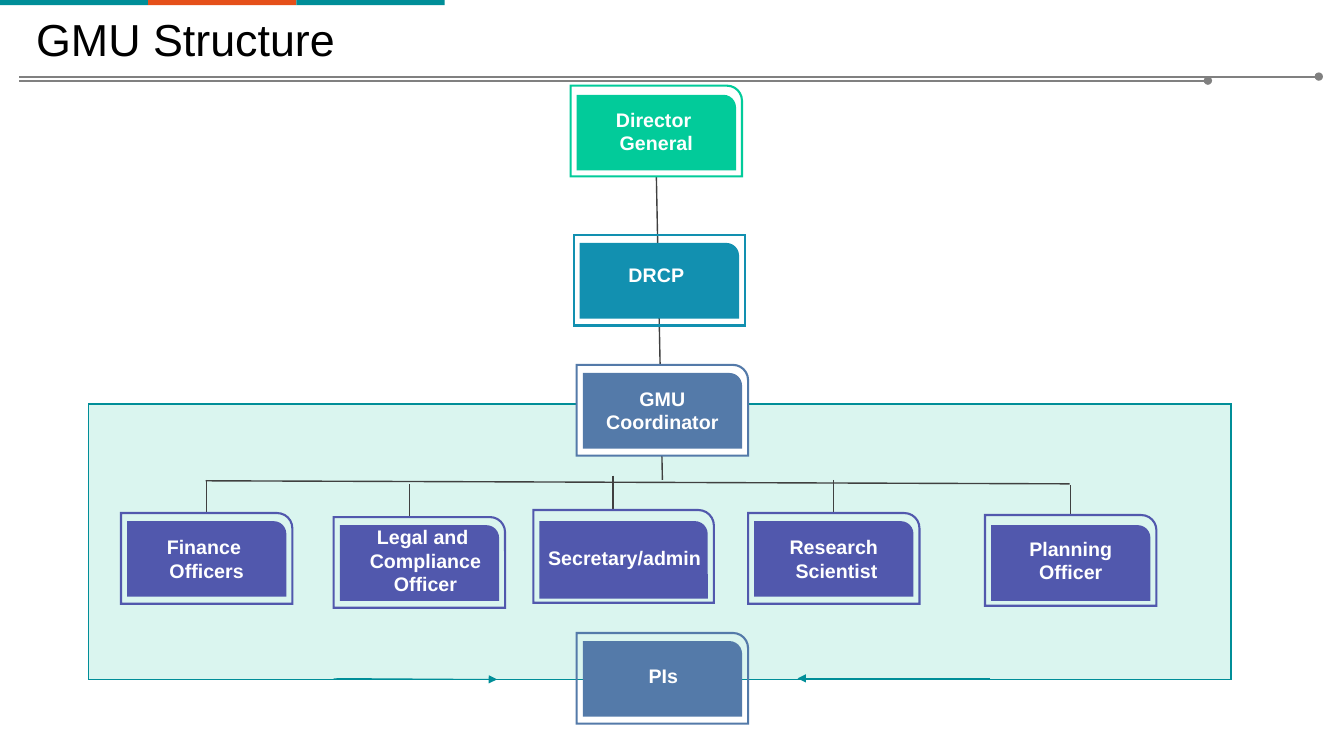
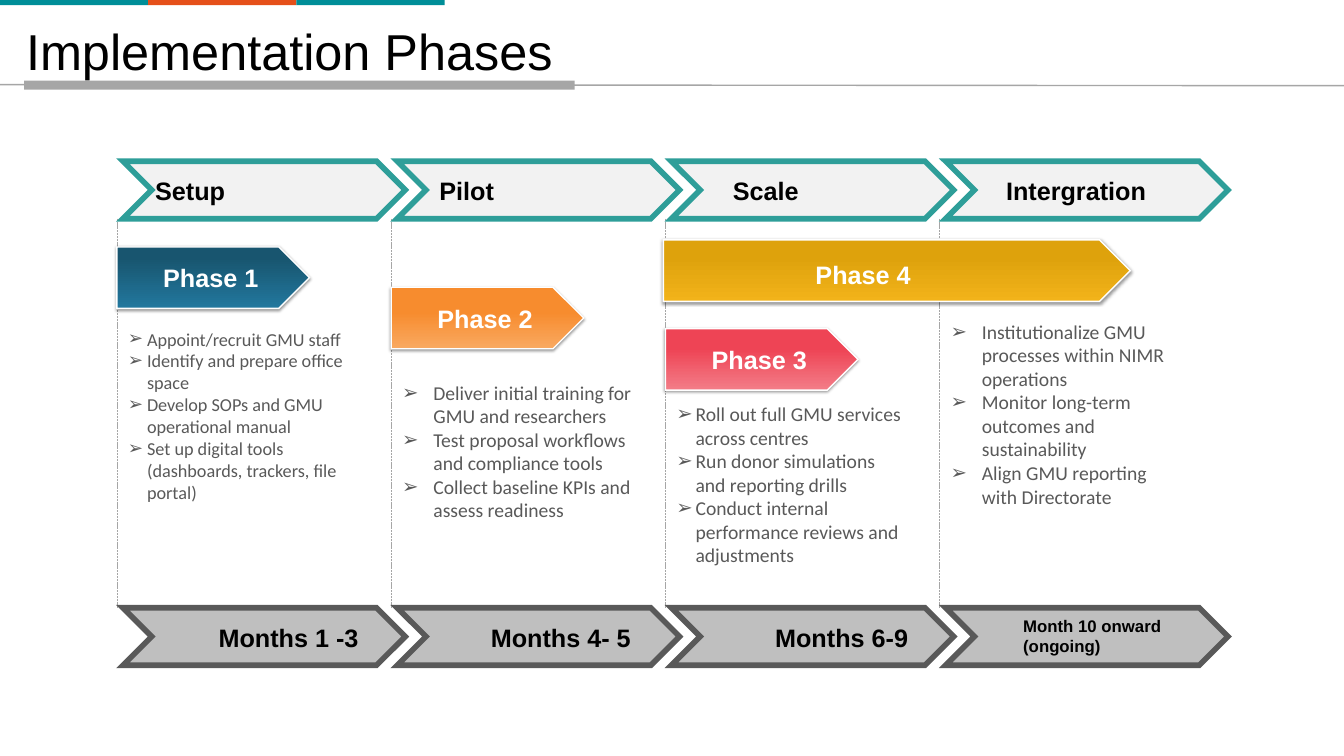
from dataclasses import dataclass
from lxml.etree import SubElement
from pptx import Presentation
from pptx.dml.color import RGBColor
from pptx.enum.dml import MSO_LINE
from pptx.enum.shapes import MSO_CONNECTOR, MSO_SHAPE
from pptx.enum.text import MSO_ANCHOR, PP_ALIGN
from pptx.oxml.ns import qn
from pptx.util import Pt

SCALE = 9144


@dataclass(frozen=True)
class Theme:
    head: str = "Arial"
    body: str = "Calibri"
    black: str = "000000"
    white: str = "FFFFFF"
    teal: str = "008E98"
    orange: str = "E5501A"
    mint: str = "DAF5EF"
    green: str = "02CB9A"
    blue: str = "1290B0"
    steel: str = "547AA9"
    violet: str = "5158AD"
    rule: str = "808080"
    wire: str = "404040"
    pale: str = "A6A6A6"
    slate: str = "595959"
    sea: str = "2E9E99"
    light: str = "F2F2F2"
    silver: str = "BFBFBF"
    first: tuple = ("22789E", "18556F", 0.82)
    second: tuple = ("F9A961", "F78C2E", 0.59)
    third: tuple = ("F37D88", "EE4455", 0.67)
    fourth: tuple = ("F2B31A", "DEA20C", 0.72)
    title: int = 32
    large: int = 36
    label: int = 18
    card: int = 14
    list: int = 14
    small: int = 13
    tiny: int = 12


T = Theme()


def px(*nums):
    return [round(n * SCALE) for n in nums]


def rgb(code):
    return RGBColor.from_string(code)


def shape(slide, kind, box, fill=None, line=None, width=1):
    item = slide.shapes.add_shape(kind, *px(*box))
    item.shadow.inherit = False
    if fill:
        item.fill.solid()
        item.fill.fore_color.rgb = rgb(fill)
    else:
        item.fill.background()
    if line:
        item.line.color.rgb = rgb(line)
        item.line.width = Pt(width)
        SubElement(item.line._get_or_add_ln(), qn("a:miter"), lim="800000")
    else:
        item.line.fill.background()
    return item


def wire(slide, start, end, color, width=1, tip=None, dash=None):
    item = slide.shapes.add_connector(MSO_CONNECTOR.STRAIGHT, *px(*start, *end))
    item.line.color.rgb = rgb(color)
    item.line.width = Pt(width)
    if dash:
        item.line.dash_style = dash
    if tip:
        SubElement(item.line._get_or_add_ln(), qn("a:tailEnd"), type=tip)
    SubElement(item._element.spPr, qn("a:effectLst"))
    return item


def write(slide, box, text, size, color=T.black, font=T.head, bold=False,
          align=PP_ALIGN.LEFT, anchor=MSO_ANCHOR.TOP, inset=10, hang=0):
    frame = slide.shapes.add_textbox(*px(*box)).text_frame
    frame.word_wrap = True
    frame.vertical_anchor = anchor
    frame.margin_left, frame.margin_right = px(inset, inset)
    frame.text = text
    for para in frame.paragraphs:
        para.alignment = align
        if hang:
            props = para._p.get_or_add_pPr()
            props.set("marL", str(hang * SCALE))
            props.set("indent", str(-hang * SCALE))
            SubElement(props, qn("a:buFont"), typeface="Arial")
            SubElement(props, qn("a:buChar"), char="➢")
        for run in para.runs:
            run.font.name = font
            run.font.size = Pt(size)
            run.font.bold = bold
            run.font.color.rgb = rgb(color)


def start(deck):
    slide = deck.slides.add_slide(deck.slide_layouts[6])
    for i, color in enumerate((T.teal, T.orange, T.teal)):
        shape(slide, MSO_SHAPE.RECTANGLE, (i * 147, 0, 147, 5), color)
    return slide


def card(slide, box, text, color, back=None, drop=8, shift=(0, 0), square=False):
    x, y, w, h = box
    frame = shape(slide, MSO_SHAPE.ROUND_1_RECTANGLE, box, back, color, 1.5)
    if square:
        frame.adjustments[0] = 0
    shape(slide, MSO_SHAPE.ROUND_1_RECTANGLE, (x + 6, y + drop, w - 12, h - 15), color)
    write(slide, (x + shift[0], y + shift[1], w, h), text, T.card, T.white, bold=True,
          align=PP_ALIGN.CENTER, anchor=MSO_ANCHOR.MIDDLE, inset=0)
    return frame


def chart(slide, box):
    left, top, wide, _ = box

    def at(x, y):
        return left + x, top + y

    def link(begin, end):
        return wire(slide, at(*begin), at(*end), T.wire)

    def place(x, y, text, color, size=(170, 90), **extra):
        return card(slide, (*at(x, y), *size), text, color, **extra)

    shape(slide, MSO_SHAPE.RECTANGLE, (*at(0, 316), wide, 273), T.mint, T.teal)
    trunk = link((563, 90), (569, 391))
    link((116, 392), (973, 395))
    drops = [link((x, y), (x, y + 33))
             for x, y in ((117, 391), (318, 395), (520, 387), (739, 391), (974, 396))]

    place(481, 148, "DRCP", T.blue, shift=(-3, -5), square=True)
    chief = place(478, 0, "Director \nGeneral", T.green, drop=9)
    place(484, 543, "PIs", T.steel, shift=(1, -3))
    place(484, 277, "GMU\nCoordinator", T.steel, back=T.white)
    staff = [
        place(32, 424, "Finance \nOfficers", T.violet),
        place(243, 428, "Legal and \nCompliance\nOfficer", T.violet, shift=(6, -2)),
        place(441, 421, "Secretary/admin", T.violet, (179, 92), drop=11, shift=(1, 1)),
        place(654, 424, "Research\n Scientist", T.violet),
        place(889, 426, "Planning\nOfficer", T.violet, drop=10),
    ]
    trunk.begin_connect(chief, 2)
    for i in (0, 3, 4):
        drops[i].end_connect(staff[i], 0)
    for begin, end in (((894, 588), (703, 588)), ((243, 588), (405, 589))):
        wire(slide, at(*begin), at(*end), T.teal, 0.5, "triangle")


def team(deck):
    slide = start(deck)
    write(slide, (26, 7, 1276, 64), "GMU Structure", T.title)
    for y, end in ((76, 1308), (80, 1198)):
        wire(slide, (19, y), (end, y), T.rule, 1.5, "oval")
    chart(slide, (88, 85, 1133, 639))


def strip(slide, box, step, fill, line, labels):
    x, y, w, h = box
    for i in range(len(labels)):
        shape(slide, MSO_SHAPE.CHEVRON, (x + 6 + i * step, y, w, h), fill, line, 4)
    for i, (shift, drop, text, size) in enumerate(labels):
        write(slide, (x + i * step + shift, y + drop, 190, 40), text, size, bold=True)


def plate(slide, box, text, shift, drop, blend):
    x, y, w, h = box
    base, peak, stop = blend
    item = shape(slide, MSO_SHAPE.PENTAGON, box, base, T.white)
    item.fill.gradient()
    item.fill.gradient_angle = 90
    for mark, color, spot in zip(item.fill.gradient_stops, (base, peak), (0, stop)):
        mark.color.rgb = rgb(color)
        mark.position = spot
    glow = item._element.spPr.find(qn("a:effectLst"))
    shade = SubElement(glow, qn("a:outerShdw"), blurRad=str(Pt(2)), dist=str(Pt(1)),
                       dir="5400000", algn="t", rotWithShape="0")
    tint = SubElement(shade, qn("a:srgbClr"), val=T.black)
    SubElement(tint, qn("a:alpha"), val="40000")
    write(slide, (x + shift, y + drop, 140, 40), text, T.label, T.white, bold=True)


def plan(slide, box):
    left, top, _, tall = box
    step = 272
    for i in range(4):
        x = left + i * step
        wire(slide, (x, top + 57), (x, top + tall - 57), T.pale, 0.5, dash=MSO_LINE.SQUARE_DOT)
    strip(slide, (left, top, 280, 57), step, T.light, T.sea, (
        (28, 9, "Setup", T.label), (38, 9, "Pilot", T.label),
        (57, 9, "Scale", T.label), (56, 9, "Intergration", T.label)))
    strip(slide, (left, top + tall - 57, 280, 57), step, T.silver, T.slate, (
        (91, 9, "Months 1 -3", T.label), (89, 9, "Months 4- 5", T.label),
        (99, 9, "Months 6-9", T.label), (73, 3, "Month 10 onward\n(ongoing)", T.tiny)))

    for x, y, w, *rest in (
            (0, 85, 191, "Phase 1", 36, 10, T.first),
            (step, 125, 191, "Phase 2", 36, 11, T.second),
            (2 * step, 166, 191, "Phase 3", 36, 11, T.third),
            (2 * step - 2, 78, 463, "Phase 4", 141, 14, T.fourth)):
        plate(slide, (left + x, top + y, w, 61), *rest)

    lists = (
        (160, 184, 19, T.small, (
            "Appoint/recruit GMU staff",
            "Identify and prepare office space",
            "Develop SOPs and GMU operational manual",
            "Set up digital tools (dashboards, trackers, file portal)")),
        (200, 175, 31, T.list, (
            "Deliver initial training for GMU and researchers",
            "Test proposal workflows and compliance tools",
            "Collect baseline KPIs and assess readiness")),
        (233, 175, 19, T.list, (
            "Roll out full GMU services across centres",
            "Run donor simulations and reporting drills",
            "Conduct internal performance reviews and adjustments")),
        (151, 199, 31, T.list, (
            "Institutionalize GMU processes within NIMR operations",
            "Monitor long-term outcomes and sustainability",
            "Align GMU reporting with Directorate")),
    )
    for i, (y, h, hang, size, points) in enumerate(lists):
        write(slide, (left + i * step + 1, top + y, 248, h), "\n".join(points), size,
              T.slate, T.body, anchor=MSO_ANCHOR.MIDDLE, hang=hang)


def phases(deck):
    slide = start(deck)
    write(slide, (16, 15, 1242, 71), "Implementation Phases", T.large)
    wire(slide, (0, 84), (1333, 85), T.pale)
    shape(slide, MSO_SHAPE.RECTANGLE, (24, 80, 546, 9), T.pale)
    plan(slide, (116, 160, 1101, 500))


def main():
    deck = Presentation()
    deck.slide_width, deck.slide_height = px(1333, 750)
    team(deck)
    phases(deck)
    deck.save("out.pptx")


if __name__ == "__main__":
    main()
